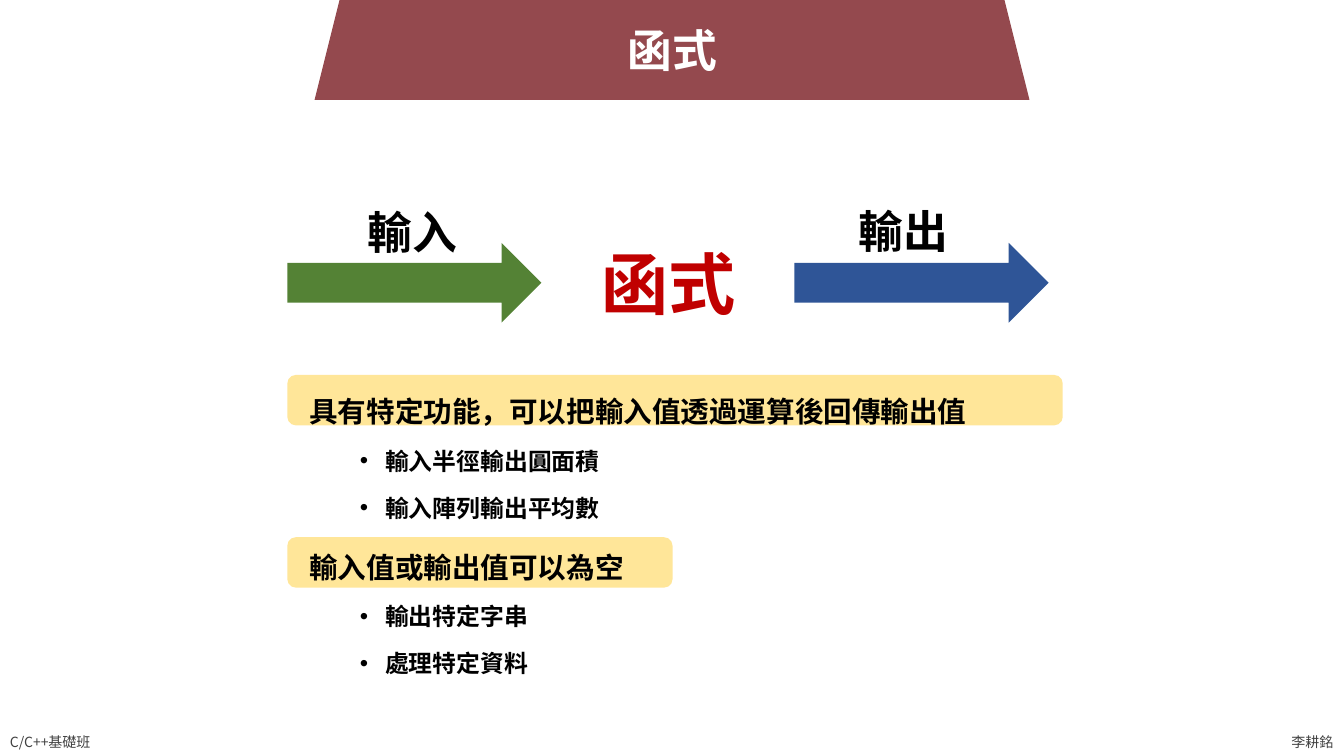
"""Build the slide that introduces functions with their input and output."""
from dataclasses import dataclass

from lxml import etree
from pptx import Presentation
from pptx.dml.color import RGBColor
from pptx.enum.shapes import MSO_SHAPE
from pptx.enum.text import MSO_ANCHOR, MSO_AUTO_SIZE, PP_ALIGN
from pptx.oxml.ns import qn
from pptx.util import Inches, Pt

ROUNDED, TRAPEZOID, ARROW = MSO_SHAPE.ROUNDED_RECTANGLE, MSO_SHAPE.TRAPEZOID, MSO_SHAPE.RIGHT_ARROW
TOP, MIDDLE = MSO_ANCHOR.TOP, MSO_ANCHOR.MIDDLE
LEFT, CENTER = PP_ALIGN.LEFT, PP_ALIGN.CENTER
NO_AUTOFIT = MSO_AUTO_SIZE.NONE


@dataclass(frozen=True)
class Theme:
    font: str = "Noto Sans CJK TC"
    banner: str = "94494E"
    highlight: str = "FFE699"
    input: str = "548235"
    output: str = "2F5597"
    function: str = "C00000"
    text: str = "000000"
    title: str = "FFFFFF"
    footer: str = "404040"
    function_size: float = 48
    heading_size: float = 32
    point_size: float = 20.4
    example_size: float = 17
    footer_size: float = 10


THEME = Theme()


def add_block(kind, left, top, width, height, color):
    block = slide.shapes.add_shape(kind, Inches(left), Inches(top), Inches(width), Inches(height))
    block.shadow.inherit = False
    block.fill.solid()
    block.fill.fore_color.rgb = RGBColor.from_string(color)
    block.line.fill.background()


def write(text, *, paragraph=None, box=None, size=THEME.heading_size, color=THEME.text,
          bold=True, align=LEFT, anchor=TOP, wrap=False):
    if paragraph is None:
        left, top, width, height = box
        frame = slide.shapes.add_textbox(
            Inches(left), Inches(top), Inches(width), Inches(height)).text_frame
        frame.word_wrap = wrap
        frame.vertical_anchor = anchor
        paragraph = frame.paragraphs[0]
    paragraph.alignment = align
    run = paragraph.add_run()
    run.text = text
    run.font.size = Pt(size)
    run.font.bold = bold
    run.font.color.rgb = RGBColor.from_string(color)
    run.font.name = THEME.font
    etree.SubElement(run.font._element, qn("a:ea"), typeface=THEME.font)


deck = Presentation()
deck.slide_width, deck.slide_height = Inches(13.33), Inches(7.5)
slide = deck.slides.add_slide(deck.slide_layouts[5])

add_block(ROUNDED, 2.85, 5.33, 3.82, 0.5, THEME.highlight)
add_block(ROUNDED, 2.85, 3.72, 7.69, 0.5, THEME.highlight)

for label, left, width, anchor in (("C/C++基礎班", 0, 1.07, TOP), ("李耕銘", 12.71, 0.62, MIDDLE)):
    write(label, box=(left, 7.23, width, 0.27), size=THEME.footer_size,
          color=THEME.footer, bold=False, anchor=anchor)

add_block(TRAPEZOID, 3.12, -0.23, 7.09, 1.22, THEME.banner)
title = slide.shapes.title
title.left, title.top, title.width, title.height = Inches(6.12), Inches(0.18), Inches(1.1), Inches(0.64)
title.text_frame.word_wrap = False
title.text_frame.auto_size = NO_AUTOFIT
title.text_frame.vertical_anchor = TOP
write("函式", paragraph=title.text_frame.paragraphs[0], color=THEME.title, align=CENTER)
slide.shapes._spTree.append(title._element)

outline = slide.shapes.add_textbox(Inches(2.97), Inches(3.72), Inches(7.39), Inches(3.11)).text_frame
outline.word_wrap = True
points = (
    ("具有特定功能，可以把輸入值透過運算後回傳輸出值", ("輸入半徑輸出圓面積", "輸入陣列輸出平均數")),
    ("輸入值或輸出值可以為空", ("輸出特定字串", "處理特定資料")),
)
for number, (point, examples) in enumerate(points):
    heading = outline.add_paragraph() if number else outline.paragraphs[0]
    heading.line_spacing = 1.4
    heading.space_before = Pt(10 if number else 0)
    write(point, paragraph=heading, size=THEME.point_size)
    for example in examples:
        bullet = outline.add_paragraph()
        bullet.level = 1
        properties = bullet._p.get_or_add_pPr()
        properties.set("marL", str(Inches(0.75)))
        properties.set("indent", str(Inches(-0.25)))
        etree.SubElement(properties, qn("a:buFont"), typeface="Arial")
        etree.SubElement(properties, qn("a:buChar"), char="•")
        bullet.line_spacing = 1.4
        bullet.space_before = Pt(5)
        write(example, paragraph=bullet, size=THEME.example_size)

write("函式", box=(5.37, 2.25, 2.52, 1.1), size=THEME.function_size, color=THEME.function,
      align=CENTER, anchor=MIDDLE, wrap=True)
for label, arrow_left, color, label_left, label_top in (
        ("輸入", 2.85, THEME.input, 3.55, 1.98),
        ("輸出", 7.88, THEME.output, 8.42, 1.97)):
    add_block(ARROW, arrow_left, 2.41, 2.52, 0.79, color)
    write(label, box=(label_left, label_top, 1.1, 0.64), wrap=True)

deck.save("out.pptx")
